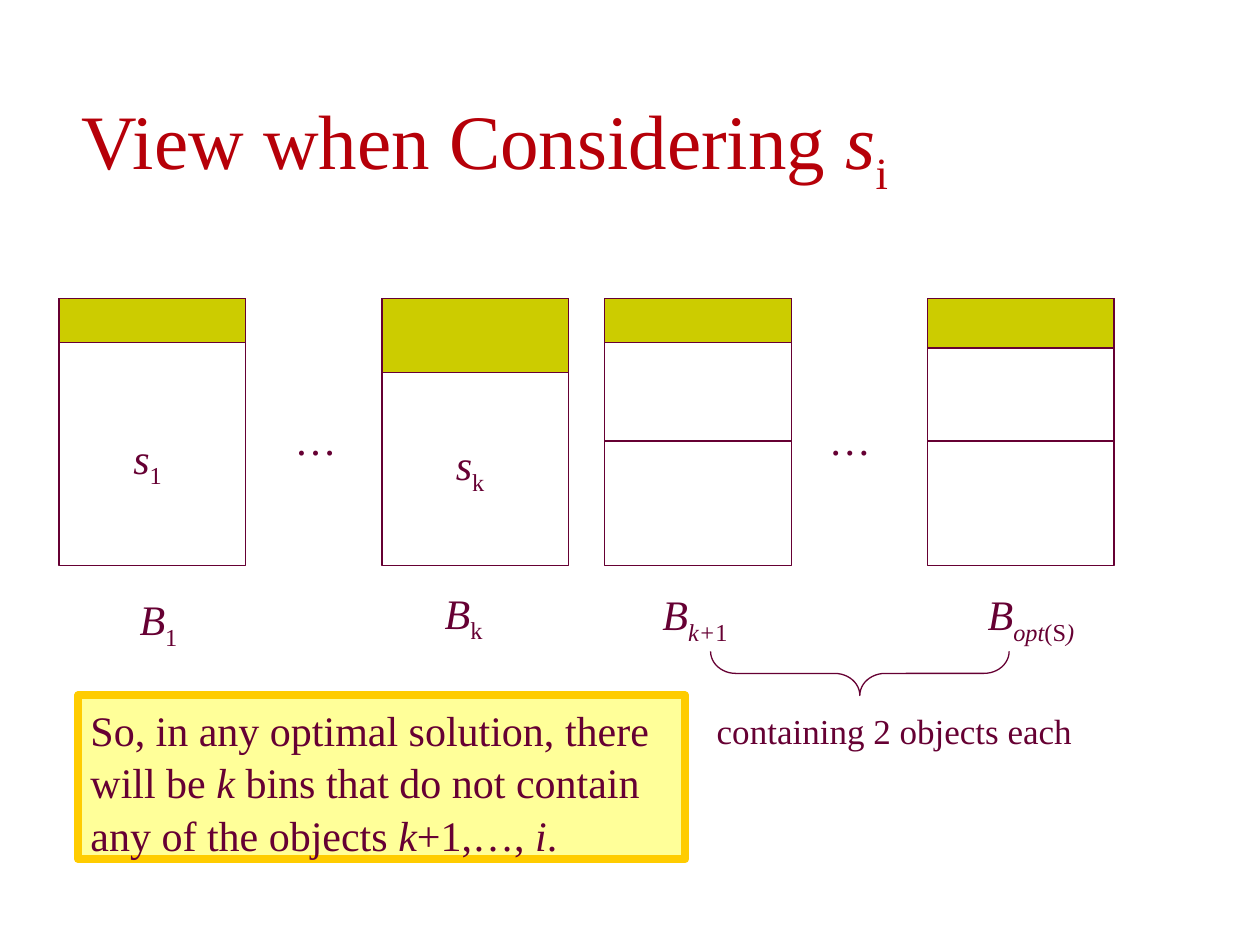
from pptx import Presentation
from pptx.dml.color import RGBColor
from pptx.enum.shapes import MSO_CONNECTOR, MSO_SHAPE
from pptx.enum.text import MSO_ANCHOR, PP_ALIGN
from pptx.oxml.ns import qn
from pptx.util import Pt
from lxml import etree

RECT, BRACE = MSO_SHAPE.RECTANGLE, MSO_SHAPE.LEFT_BRACE
LINE = MSO_CONNECTOR.STRAIGHT
LEFT, TOP, BOTTOM = PP_ALIGN.LEFT, MSO_ANCHOR.TOP, MSO_ANCHOR.BOTTOM


class Theme:
    font = "Times New Roman"
    red = RGBColor.from_string("B60009")
    plum = RGBColor.from_string("660033")
    olive = RGBColor.from_string("CCCC00")
    pale = RGBColor.from_string("FFFF99")
    gold = RGBColor.from_string("FFCC00")
    head, body, note = Pt(44), Pt(24), Pt(20)
    thin, thick = Pt(0.75), Pt(4.5)


prs = Presentation()
prs.slide_width, prs.slide_height = Pt(720), Pt(540)
slide = prs.slides.add_slide(prs.slide_layouts[5])
shapes = slide.shapes


def write(shape, parts, size=Theme.body, color=Theme.plum, anchor=TOP, pitch=1.0):
    """Fill a shape with (text, style) runs; style holds i for italic, _ for subscript."""
    frame = shape.text_frame
    frame.word_wrap = True
    frame.vertical_anchor = anchor
    para = frame.paragraphs[0]
    para.alignment = LEFT
    para.line_spacing = pitch
    for text, style in parts:
        run = para.add_run()
        run.text = text
        font = run.font
        font.name, font.size, font.color.rgb = Theme.font, size, color
        font.italic = "i" in style
        if "_" in style:
            run._r.get_or_add_rPr().set("baseline", "-25000")


def draw(kind, x, y, w, h, fill=None, line=Theme.plum, width=Theme.thin):
    """Add an outlined shape, with a fill if one is given."""
    shape = shapes.add_shape(kind, Pt(x), Pt(y), Pt(w), Pt(h))
    shape.shadow.inherit = False
    if fill is None:
        shape.fill.background()
    else:
        shape.fill.solid()
        shape.fill.fore_color.rgb = fill
    shape.line.color.rgb, shape.line.width = line, width
    return shape


# Title
title = shapes.title
title.left, title.top, title.width, title.height = Pt(39.6), Pt(49.7), Pt(680.4), Pt(67)
write(title, [("View when Considering ", ""), ("s", "i"), ("i", "_")],
      Theme.head, Theme.red, BOTTOM)

# Bins: left edge, height of the free space, split into two objects
bin_top, bin_wide, bin_high, split_y = 170.6, 106.6, 152.6, 252
bins = [(33.8, 25.2, False), (218.2, 42.5, False),
        (345.6, 25.2, True), (529.9, 28.4, True)]
for x, free, split in bins:
    draw(RECT, x, bin_top, bin_wide, bin_high)
    draw(RECT, x, bin_top, bin_wide, free, Theme.olive)
    if split:
        rule = shapes.add_connector(LINE, Pt(x), Pt(split_y), Pt(x + bin_wide), Pt(split_y))
        rule.line.color.rgb, rule.line.width = Theme.plum, Theme.thin
        etree.SubElement(rule._element.spPr, qn("a:effectLst"))

# Labels: left, top, width, height, size, runs
labels = [
    (161.3, 231.1, 46, 36, Theme.body, [("…", "")]),
    (466.6, 231.1, 46, 36, Theme.body, [("…", "")]),
    (69.1, 241.9, 39, 40, Theme.body, [("s", "i"), ("1", "_")]),
    (253.4, 245.5, 39, 40, Theme.body, [("s", "i"), ("k", "_")]),
    (72.7, 334.1, 64, 40, Theme.body, [("B", "i"), ("1", "_")]),
    (247, 330.5, 64, 40, Theme.body, [("B", "i"), ("k", "_")]),
    (371.5, 331.2, 64, 40, Theme.body, [("B", "i"), ("k+", "i_"), ("1", "_")]),
    (557.3, 331.2, 79, 40, Theme.body,
     [("B", "i"), ("opt", "i_"), ("(S", "_"), (")", "i_")]),
    (402.5, 401, 230.4, 31.7, Theme.note, [("containing 2 objects each", "")]),
]
for x, y, w, h, size, parts in labels:
    box = shapes.add_textbox(Pt(x), Pt(y), Pt(w), Pt(h))
    write(box, parts, size, pitch=1.05)

# Brace under the split bins
brace = draw(BRACE, 478.8, 299.5, 25.2, 170.6)
brace.rotation = 270
brace.adjustments[0] = 0.57

# Conclusion
note = draw(RECT, 44.6, 397.4, 347, 93.6, Theme.pale, Theme.gold, Theme.thick)
write(note, [("So, in any optimal solution, there will be ", ""), ("k", "i"),
             (" bins that do not contain any of the objects ", ""), ("k", "i"),
             ("+1,…, ", ""), ("i", "i"), (".", "")], pitch=1.05)

prs.save("out.pptx")
